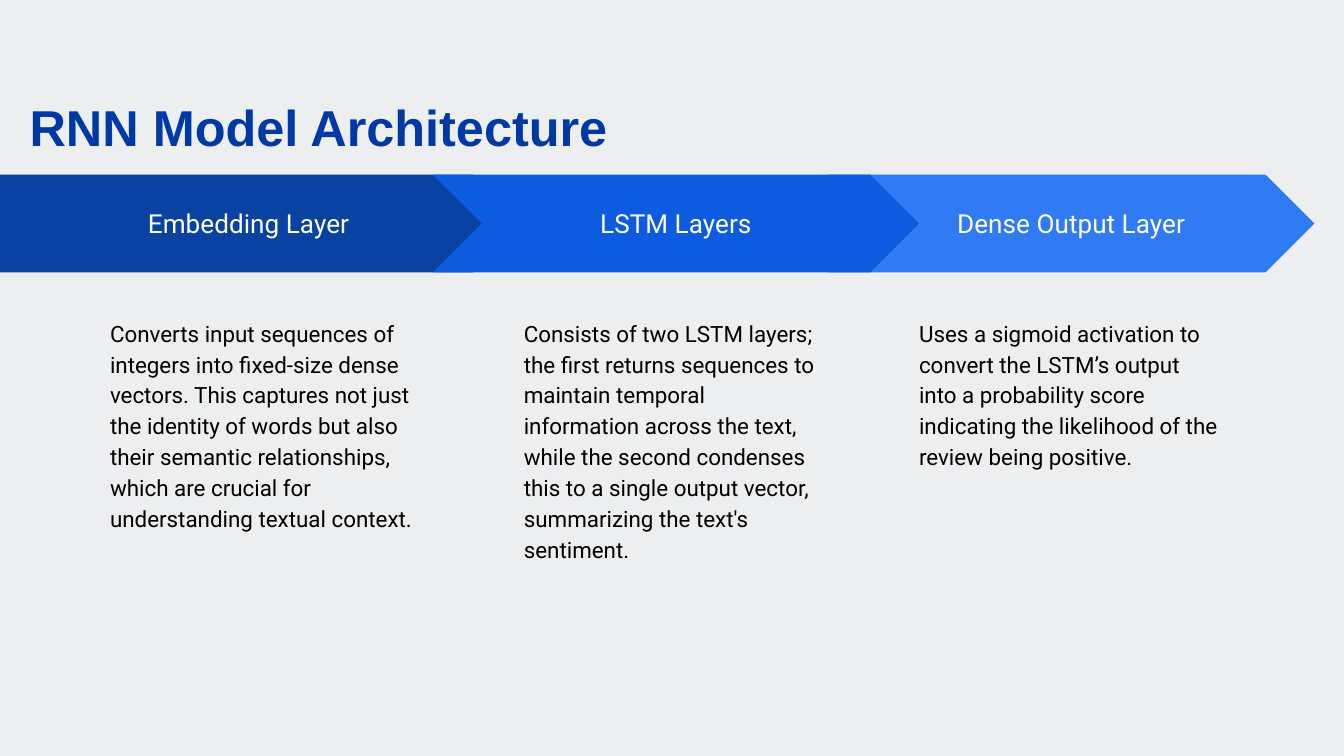
import pptx
import pptx.dml.color
import pptx.enum.shapes
import pptx.enum.text
import pptx.util

Cm, Pt = pptx.util.Cm, pptx.util.Pt
SHAPES = pptx.enum.shapes.MSO_SHAPE
ANCHOR = pptx.enum.text.MSO_ANCHOR
ALIGN = pptx.enum.text.PP_ALIGN

TITLE = "RNN Model Architecture"
# In reading order; lengths are in centimetres.
STAGES = [
    {"name": "Embedding Layer", "fill": "0942A1", "shape": SHAPES.PENTAGON,
     "left": 0, "width": 9.86, "text_left": 1.83,
     "text": "Converts input sequences of integers into fixed-size dense vectors. "
             "This captures not just the identity of words but also their semantic "
             "relationships, which are crucial for understanding textual context."},
    {"name": "LSTM Layers", "fill": "0D5CDF", "shape": SHAPES.CHEVRON,
     "left": 8.18, "width": 9.19, "text_left": 9.65,
     "text": "Consists of two LSTM layers; the first returns sequences to maintain "
             "temporal information across the text, while the second condenses this "
             "to a single output vector, summarizing the text's sentiment."},
    {"name": "Dense Output Layer", "fill": "307AF3", "shape": SHAPES.CHEVRON,
     "left": 15.65, "width": 9.19, "text_left": 17.12,
     "text": "Uses a sigmoid activation to convert the LSTM’s output into a "
             "probability score indicating the likelihood of the review being positive."},
]
BACK_TO_FRONT = [2, 0, 1]
ARROW_TOP, ARROW_HEIGHT = 3.3, 1.85
TEXT_TOP, TEXT_WIDTH, TEXT_HEIGHT = 5.72, 6.22, 7.26

TITLE_FONT = {"name": "Arial", "size": Pt(27), "bold": True}
NAME_FONT = {"name": "Roboto", "size": Pt(14)}
BODY_FONT = {"name": "Roboto", "size": Pt(12)}


def rgb(code):
    return pptx.dml.color.RGBColor.from_string(code)


def set_attributes(target, values):
    for name, value in values.items():
        setattr(target, name, value)


def write(shape, text, font, color, inset, anchor, **paragraph_format):
    frame = shape.text_frame
    frame.text = text
    sides = ("margin_left", "margin_top", "margin_right", "margin_bottom")
    set_attributes(frame, {side: Cm(inset) for side in sides})
    set_attributes(frame, {"word_wrap": True, "vertical_anchor": anchor,
                           "auto_size": pptx.enum.text.MSO_AUTO_SIZE.NONE})
    paragraph = frame.paragraphs[0]
    set_attributes(paragraph, paragraph_format)
    set_attributes(paragraph.runs[0].font, font)
    paragraph.runs[0].font.color.rgb = rgb(color)


def add_stage(slide, stage):
    arrow = slide.shapes.add_shape(stage["shape"], Cm(stage["left"]), Cm(ARROW_TOP),
                                   Cm(stage["width"]), Cm(ARROW_HEIGHT))
    arrow.shadow.inherit = False
    arrow.fill.solid()
    arrow.fill.fore_color.rgb = rgb(stage["fill"])
    arrow.line.fill.background()
    write(arrow, stage["name"], NAME_FONT, "FFFFFF", 0.25, ANCHOR.MIDDLE,
          alignment=ALIGN.CENTER)

    description = slide.shapes.add_textbox(Cm(stage["text_left"]), Cm(TEXT_TOP),
                                           Cm(TEXT_WIDTH), Cm(TEXT_HEIGHT))
    write(description, stage["text"], BODY_FONT, "000000", 0.25, ANCHOR.TOP,
          alignment=ALIGN.LEFT, line_spacing=1.15)


def main():
    presentation = pptx.Presentation()
    set_attributes(presentation, {"slide_width": Cm(25.4), "slide_height": Cm(14.29)})
    slide = presentation.slides.add_slide(presentation.slide_layouts[5])
    slide.background.fill.solid()
    slide.background.fill.fore_color.rgb = rgb("EDEEEF")

    title = slide.shapes.title
    set_attributes(title, {"left": Cm(0.56), "top": Cm(1.93),
                           "width": Cm(23.83), "height": Cm(1.04)})
    write(title, TITLE, TITLE_FONT, "0039A6", 0, ANCHOR.BOTTOM,
          alignment=ALIGN.LEFT, line_spacing=0.9)

    for index in BACK_TO_FRONT:
        add_stage(slide, STAGES[index])
    presentation.save("out.pptx")


if __name__ == "__main__":
    main()
